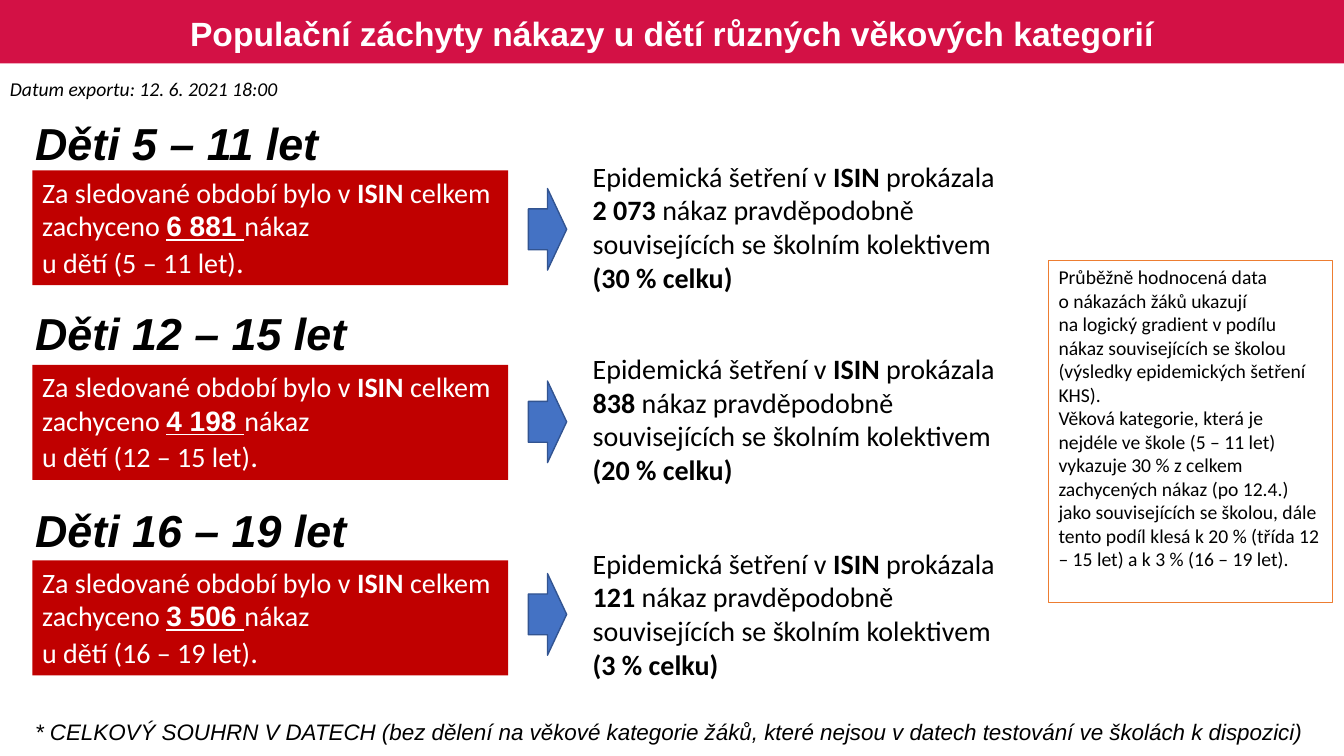
import dataclasses
import typing

import pptx
import pptx.dml.color
import pptx.enum.shapes
import pptx.enum.text
import pptx.shapes.autoshape
import pptx.util

Inches = pptx.util.Inches
SHAPE = pptx.enum.shapes.MSO_SHAPE
ANCHOR = pptx.enum.text.MSO_ANCHOR
ALIGN = pptx.enum.text.PP_ALIGN

COLORS = {
    "banner": "D31145",
    "count": "C00000",
    "arrow": "4472C4",
    "arrow_line": "325491",
    "note_line": "ED7D31",
    "white": "FFFFFF",
    "black": "000000",
}

Box = tuple[float, float, float, float]
Format = dict[str, typing.Any]
Run = tuple[str, Format]
Paragraph = list[Run]

BOLD: Format = {"bold": True}
HEADING: Format = {"name": "Arial", "size": 32, "bold": True, "italic": True}
BODY: Format = {"name": "Calibri", "size": 20}


@dataclasses.dataclass
class AgeGroup:
    ages: str
    cases: str
    school_cases: str
    share: str
    heading_top: float
    count_top: float
    finding_top: float
    arrow_top: float


GROUPS = [
    AgeGroup("5 – 11 let", "6 881", "2 073", "30 %", 1.1, 1.69, 1.53, 1.87),
    AgeGroup("12 – 15 let", "4 198", "838", "20 %", 2.98, 3.62, 3.44, 3.78),
    AgeGroup("16 – 19 let", "3 506", "121", "3 %", 4.94, 5.56, 5.37, 5.69),
]

NOTE = [
    "Průběžně hodnocená data",
    "o nákazách žáků ukazují",
    "na logický gradient v podílu nákaz souvisejících se školou "
    "(výsledky epidemických šetření KHS).",
    "Věková kategorie, která je nejdéle ve škole (5 – 11 let) vykazuje 30 % "
    "z celkem zachycených nákaz (po 12.4.) jako souvisejících se školou, dále "
    "tento podíl klesá k 20 % (třída 12 – 15 let) a k 3 % (16 – 19 let).",
]


def rgb(color: str) -> pptx.dml.color.RGBColor:
    return pptx.dml.color.RGBColor.from_string(COLORS[color])


def add_shape(s, box: Box, fill: str = "", line: str = "", width: float = 1,
              kind=SHAPE.RECTANGLE) -> pptx.shapes.autoshape.Shape:
    sp = s.shapes.add_shape(kind, *map(Inches, box))
    sp.shadow.inherit = False
    if fill:
        sp.fill.solid()
        sp.fill.fore_color.rgb = rgb(fill)
    else:
        sp.fill.background()
    if line:
        sp.line.color.rgb = rgb(line)
        sp.line.width = pptx.util.Pt(width)
    else:
        sp.line.fill.background()
    return sp


def write(sp, paragraphs: list[Paragraph], base: Format, color: str = "black",
          align=ALIGN.LEFT, anchor=ANCHOR.TOP) -> None:
    """Fill a shape with text; each run may override the base format."""
    tf = sp.text_frame
    tf.word_wrap = True
    tf.vertical_anchor = anchor
    for i, runs in enumerate(paragraphs):
        p = tf.add_paragraph() if i else tf.paragraphs[0]
        p.alignment = align
        for text, extra in runs:
            if text == "\n":
                p.add_line_break()
                continue
            r = p.add_run()
            r.text = text
            r.font.color.rgb = rgb(color)
            for name, value in {**base, **extra}.items():
                setattr(r.font, name, pptx.util.Pt(value) if name == "size" else value)


def add_text(s, box: Box, text: str, base: Format, **layout) -> pptx.shapes.autoshape.Shape:
    sp = s.shapes.add_textbox(*map(Inches, box))
    write(sp, [[(text, {})]], base, **layout)
    return sp


def add_group(s, g: AgeGroup) -> None:
    add_text(s, (0.25, g.heading_top, 3.58, 0.64), f"Děti {g.ages}", HEADING)

    # Total cases
    sp = add_shape(s, (0.32, g.count_top, 4.72, 1.14), "count")
    write(sp, [
        [("Za sledované období bylo v ", {}), ("ISIN", BOLD), (" celkem zachyceno ", {}),
         (f"{g.cases} ", {"name": "Arial", "bold": True, "underline": True}), ("nákaz", {})],
        [(f"u dětí ({g.ages})", {}), (".", {"size": 22})],
    ], BODY, "white")

    # Cases linked to school
    sp = add_shape(s, (5.78, g.finding_top, 4.61, 1.45), "white")
    write(sp, [
        [("Epidemická šetření v ", {}), ("ISIN", BOLD), (" prokázala", {})],
        [(f"{g.school_cases} ", BOLD),
         ("nákaz pravděpodobně souvisejících se školním kolektivem", {}),
         ("\n", {}), (f"({g.share} celku)", BOLD)],
    ], BODY)

    add_shape(s, (5.24, g.arrow_top, 0.38, 0.81), "arrow", "arrow_line",
              kind=SHAPE.RIGHT_ARROW)


def main() -> None:
    prs = pptx.Presentation()
    prs.slide_width, prs.slide_height = Inches(13.33), Inches(7.5)
    s = prs.slides.add_slide(prs.slide_layouts[6])

    # Title banner
    add_shape(s, (0, 0, 13.33, 0.63), "banner")
    title = add_text(s, (0.18, 0.04, 12.97, 0.63),
                     "Populační záchyty nákazy u dětí různých věkových kategorií",
                     {"name": "Arial", "size": 24, "bold": True},
                     color="white", align=ALIGN.CENTER, anchor=ANCHOR.MIDDLE)
    title.text_frame.paragraphs[0].line_spacing = 0.9

    # Export date and footnote
    add_text(s, (0, 0.71, 3.12, 0.34), "Datum exportu: 12. 6. 2021 18:00",
             {"name": "Calibri", "size": 14, "italic": True})
    add_text(s, (0.25, 7.08, 13.23, 0.37),
             "* CELKOVÝ SOUHRN V DATECH (bez dělení na věkové kategorie žáků, "
             "které nejsou v datech testování ve školách k dispozici)",
             {"name": "Arial", "size": 16, "italic": True})

    # Age groups
    for g in GROUPS:
        add_group(s, g)

    # Commentary
    note = add_shape(s, (10.4, 2.58, 2.82, 3.4), line="note_line", width=0.75)
    write(note, [[(text, {})] for text in NOTE], {"name": "Calibri", "size": 14})

    prs.save("out.pptx")


if __name__ == "__main__":
    main()
